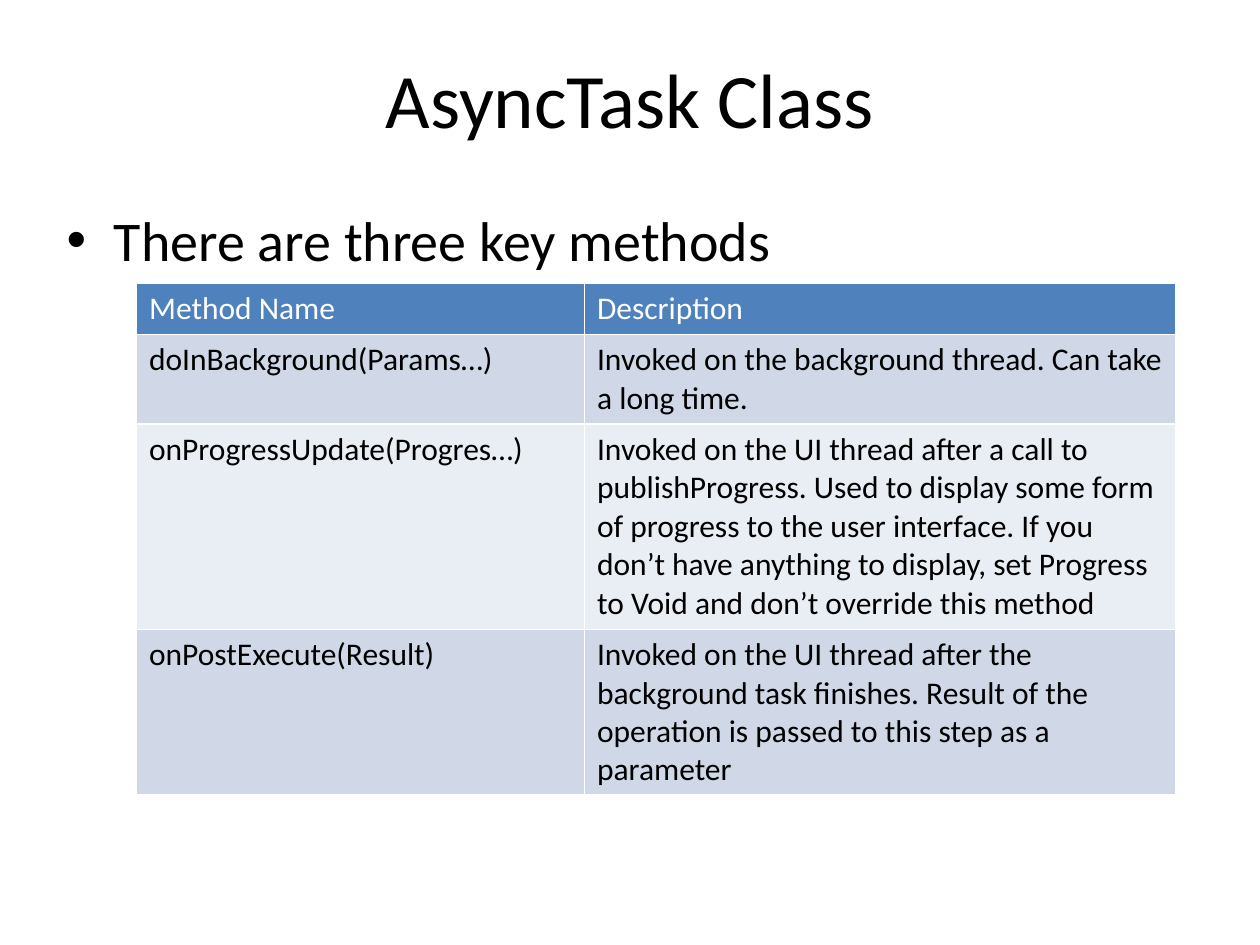
from dataclasses import dataclass

from lxml import etree
from pptx import Presentation
from pptx.dml.color import RGBColor
from pptx.enum.text import MSO_ANCHOR, PP_ALIGN
from pptx.oxml.ns import qn
from pptx.util import Pt

CENTER = PP_ALIGN.CENTER
MIDDLE = MSO_ANCHOR.MIDDLE


@dataclass(frozen=True)
class Theme:
    font: str = "Calibri"
    title_size: int = 44
    body_size: int = 32
    table_size: int = 18
    text: str = "000000"
    header_text: str = "FFFFFF"
    header_fill: str = "4F81BD"
    band_fills: tuple = ("E9EDF4", "D0D8E8")


theme = Theme()


def write(text_frame, text, size, color):
    text_frame.word_wrap = True
    text_frame.text = text
    paragraph = text_frame.paragraphs[0]
    font = paragraph.runs[0].font
    font.name = theme.font
    font.size = Pt(size)
    font.bold = False
    font.color.rgb = RGBColor.from_string(color)
    return paragraph


presentation = Presentation()
presentation.slide_width = Pt(720)
presentation.slide_height = Pt(540)
slide = presentation.slides.add_slide(presentation.slide_layouts[6])

# Title
title = slide.shapes.add_textbox(Pt(36), Pt(21.6), Pt(648), Pt(68.4))
title.text_frame.vertical_anchor = MIDDLE
write(title.text_frame, "AsyncTask Class", theme.title_size, theme.text).alignment = CENTER

# Bullet line
body = slide.shapes.add_textbox(Pt(31), Pt(113.8), Pt(658.8), Pt(77.8))
bullet = write(body.text_frame, "There are three key methods", theme.body_size, theme.text)
properties = bullet._p.get_or_add_pPr()
properties.set("marL", str(Pt(27)))
properties.set("indent", str(Pt(-27)))
space_before = etree.SubElement(properties, qn("a:spcBef"))
etree.SubElement(space_before, qn("a:spcPct")).set("val", "20000")
etree.SubElement(properties, qn("a:buFont")).set("typeface", "Arial")
etree.SubElement(properties, qn("a:buChar")).set("char", "•")

# Methods table
methods = [
    ("Method Name", "Description"),
    ("doInBackground(Params…)", "Invoked on the background thread. Can take a long time."),
    (
        "onProgressUpdate(Progres…)",
        "Invoked on the UI thread after a call to publishProgress. "
        "Used to display some form of progress to the user interface. "
        "If you don’t have anything to display, set Progress to Void "
        "and don’t override this method",
    ),
    (
        "onPostExecute(Result)",
        "Invoked on the UI thread after the background task finishes. "
        "Result of the operation is passed to this step as a parameter",
    ),
]
column_widths = [256, 338]
row_heights = [29.2, 51.2, 117.2, 94.8]

table = slide.shapes.add_table(
    len(methods), len(column_widths),
    Pt(78), Pt(162), Pt(sum(column_widths)), Pt(sum(row_heights)),
).table
for column, width in zip(table.columns, column_widths):
    column.width = Pt(width)
for row_index, (row, height, texts) in enumerate(zip(table.rows, row_heights, methods)):
    row.height = Pt(height)
    is_header = row_index == 0
    fill = theme.header_fill if is_header else theme.band_fills[row_index % 2]
    color = theme.header_text if is_header else theme.text
    for cell, text in zip(row.cells, texts):
        cell.fill.solid()
        cell.fill.fore_color.rgb = RGBColor.from_string(fill)
        write(cell.text_frame, text, theme.table_size, color)

presentation.save("out.pptx")
